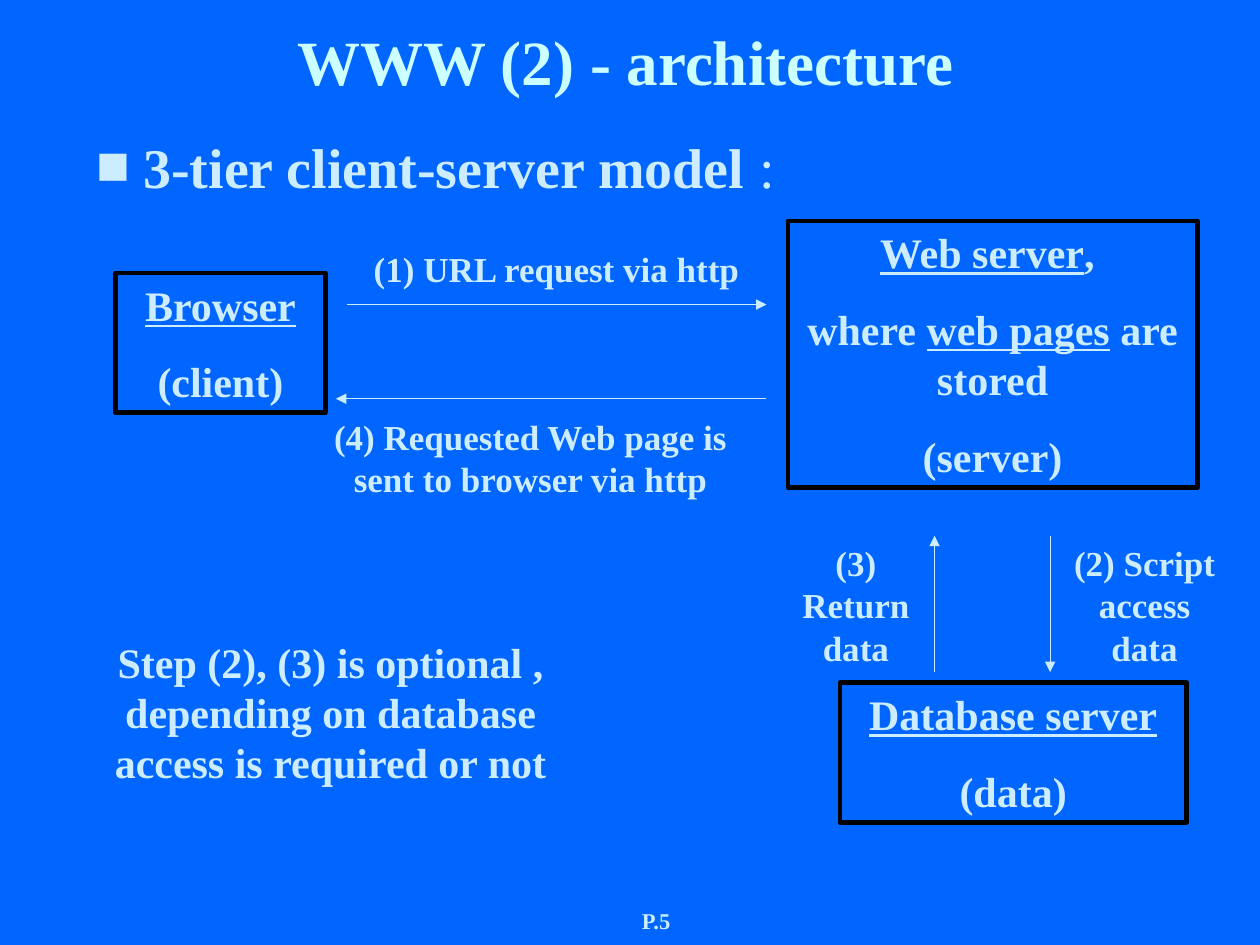
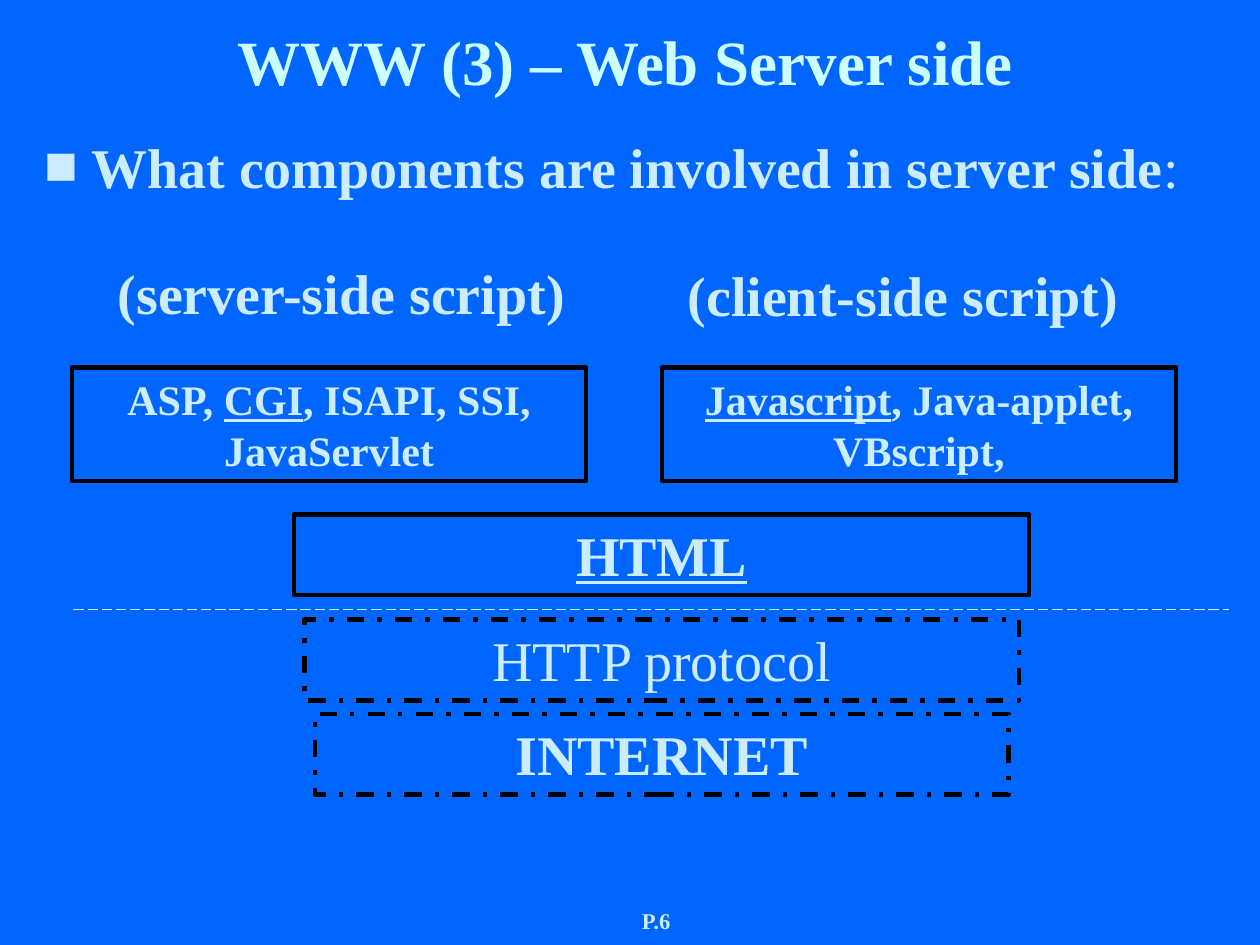
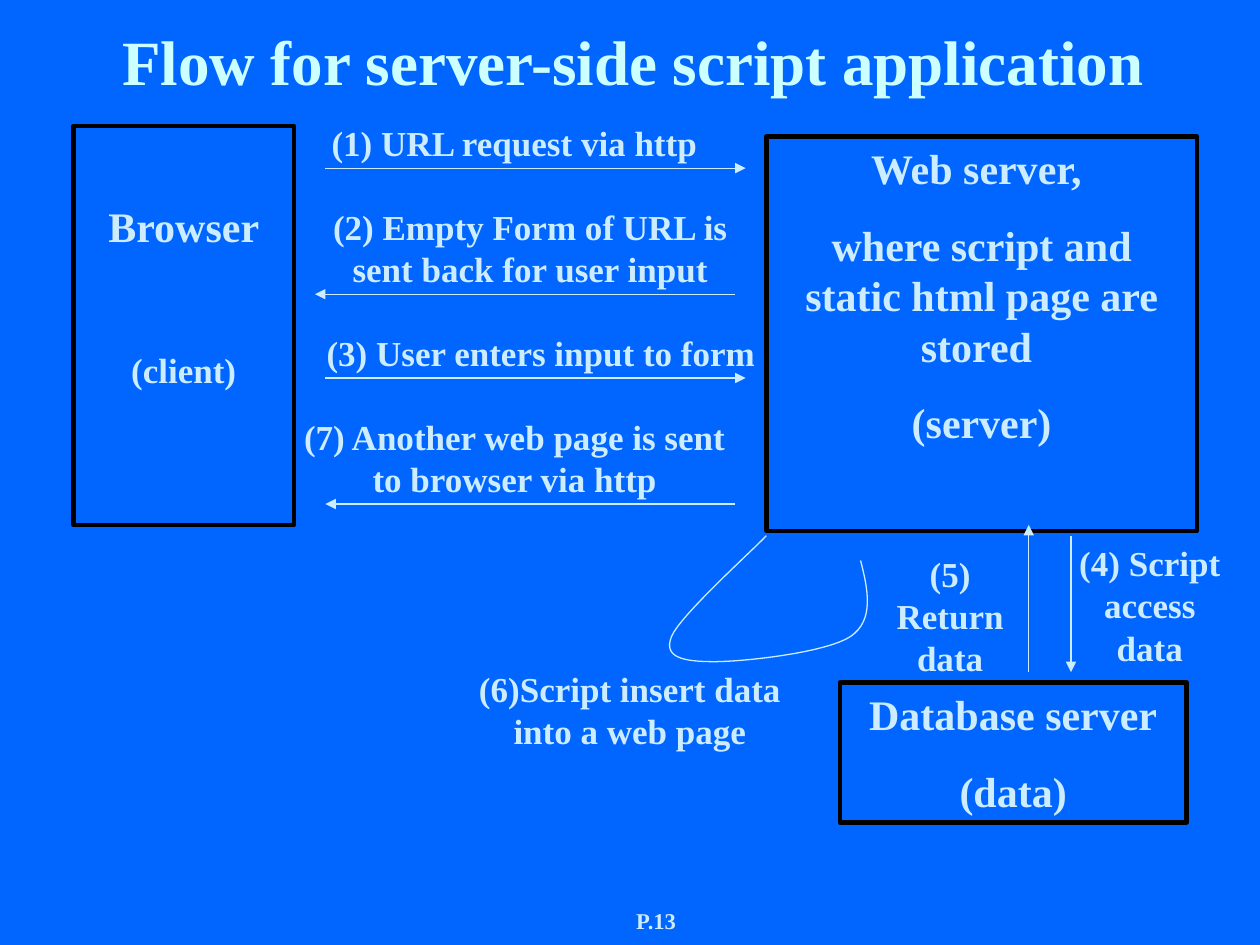
from itertools import pairwise

from lxml.etree import SubElement as Sub
from pptx import Presentation
from pptx.dml.color import RGBColor as Rgb
from pptx.enum.dml import MSO_LINE as Dash
from pptx.enum.shapes import MSO_CONNECTOR as Link, MSO_SHAPE as Kind
from pptx.enum.text import MSO_ANCHOR as Anchor, PP_ALIGN as Align
from pptx.oxml.ns import qn
from pptx.util import Cm, Pt

HUES = {"back": "0066FF", "title": "CCFFFF", "text": "CCECFF", "edge": "000000"}
FONT = "Times New Roman"
LEAD = 1.2  # line height as a share of the type size
DATA = (16.93, 13.76, 6.99, 2.82)  # database box, same place on both flows


def hue(name):
    return Rgb.from_string(HUES[name])


# --- Text ---

def add_run(para, text, size, style="b", tint="text"):
    """Style letters: b for bold, u for underline."""
    run = para.add_run()
    run.text = text
    font = run.font
    font.name, font.size = FONT, Pt(size)
    font.bold, font.underline = "b" in style, "u" in style
    font.color.rgb = hue(tint)


def fill_text(frame, paras, size, gap=None, tint="text"):
    """Each paragraph is a list of (text, style) runs."""
    frame.word_wrap = True
    frame.vertical_anchor = Anchor.TOP
    for i, runs in enumerate(paras):
        para = frame.add_paragraph() if i else frame.paragraphs[0]
        para.alignment = Align.CENTER
        if i:
            para.space_before = Pt(gap or size * 0.625)
        for text, style in runs:
            add_run(para, text, size, style, tint)


def add_text(slide, x, y, w, h):
    frame = slide.shapes.add_textbox(Cm(x), Cm(y), Cm(w), Cm(h)).text_frame
    frame.word_wrap = True
    return frame


def add_label(slide, text, x, y, w, rows=1, size=20):
    high = 0.25 + rows * size * LEAD / 28.35
    fill_text(add_text(slide, x, y, w, high), [[(text, "b")]], size)


def add_point(slide, head, tail, x, w):
    para = add_text(slide, x, 2.54, w, 13.76).paragraphs[0]
    props = para._p.get_or_add_pPr()
    props.set("marL", str(Cm(0.95)))
    props.set("indent", str(Cm(-0.95)))
    Sub(Sub(props, qn("a:buClr")), qn("a:srgbClr"), val=HUES["text"])
    Sub(props, qn("a:buFont"), typeface=FONT)
    Sub(props, qn("a:buChar"), char="■")
    add_run(para, head, 32)
    add_run(para, tail, 32, "")


# --- Shapes and lines ---

def add_box(slide, place, paras, size=24, dash=None):
    box = slide.shapes.add_shape(Kind.RECTANGLE, *map(Cm, place))
    box.shadow.inherit = False
    box.fill.background()
    box.line.color.rgb = hue("edge")
    box.line.width = Pt(2.5)
    if dash:
        box.line.dash_style = dash
    fill_text(box.text_frame, paras, size)
    return box.text_frame


def thin(line):
    line.color.rgb = hue("text")
    line.width = Pt(0.75)


def add_line(slide, x1, y1, x2, y2, dash=None):
    link = slide.shapes.add_connector(Link.STRAIGHT, Cm(x1), Cm(y1), Cm(x2), Cm(y2))
    thin(link.line)
    if dash:
        link.line.dash_style = dash
    Sub(link._element.spPr, qn("a:effectLst"))
    return link


def add_arrow(slide, *ends):
    link = add_line(slide, *ends)
    Sub(link.line._get_or_add_ln(), qn("a:tailEnd"), type="triangle")


def bend(p0, p1, p2, p3, steps=16):
    """Points along one cubic curve, after its start."""
    for i in range(1, steps + 1):
        t = i / steps
        s = 1 - t
        yield tuple(s**3 * a + 3 * s * s * t * b + 3 * s * t * t * c + t**3 * d
                    for a, b, c, d in zip(p0, p1, p2, p3))


def add_curve(slide, knots):
    """Knots are (point, handle in, handle out)."""
    form = slide.shapes.build_freeform(*map(Cm, knots[0][0]), scale=1.0)
    dots = [dot for (a, _, out), (b, into, _) in pairwise(knots)
            for dot in bend(a, out, into, b)]
    form.add_line_segments([(Cm(x), Cm(y)) for x, y in dots], close=False)
    curve = form.convert_to_shape()
    curve.shadow.inherit = False
    curve.fill.background()
    thin(curve.line)


# --- Slides ---

def add_page(deck, title, number):
    slide = deck.slides.add_slide(deck.slide_layouts[6])
    frame = add_text(slide, 0.64, 0.64, 23.93, 1.47)
    fill_text(frame, [[(title, "b")]], 36, tint="title")
    frame.vertical_anchor = Anchor.BOTTOM
    foot = add_text(slide, 10.58, 18.16, 5.29, 0.85)
    fill_text(foot, [[(f"P.{number}", "b")]], 12.9)
    return slide


def show_tiers(deck):
    slide = add_page(deck, "WWW (2) - architecture", 5)
    add_point(slide, "3-tier client-server model", " :", 1.69, 22.44)
    # Tiers
    add_box(slide, (2.33, 5.5, 4.23, 2.82), [[("Browser", "bu")], [("(client)", "b")]])
    add_box(slide, (15.88, 4.45, 8.26, 5.38), [
        [("Web server", "bu"), (", ", "b")],
        [("where ", "b"), ("web pages", "bu"), (" are stored", "b")],
        [("(server)", "b")]])
    add_box(slide, DATA, [[("Database server", "bu")], [("(data)", "b")]])
    # Steps
    add_arrow(slide, 6.99, 6.14, 15.45, 6.14)
    add_arrow(slide, 15.45, 8.04, 6.77, 8.04)
    add_arrow(slide, 21.17, 10.8, 21.17, 13.55)
    add_arrow(slide, 18.84, 13.55, 18.84, 10.8)
    add_label(slide, "(1) URL request via http", 7.2, 4.87, 8.04)
    add_label(slide, "(2) Script access data", 21.38, 10.8, 3.39, 3)
    add_label(slide, "(3) Return data", 15.88, 10.8, 2.75, 3)
    add_label(slide, "(4) Requested Web page is sent to browser via http",
              5.93, 8.26, 9.53, 2)
    add_label(slide, "Step (2), (3) is optional , depending on database access "
              "is required or not", 1.48, 12.7, 10.37, 3, 24)


def show_parts(deck):
    slide = add_page(deck, "WWW (3) – Web Server side", 6)
    add_point(slide, "What components are involved in server side", ":", 0.64, 24.13)
    # Scripts
    add_label(slide, "(server-side script)", 1.91, 5.08, 9.95, size=32)
    add_label(slide, "(client-side script)", 13.34, 5.13, 9.74, size=32)
    kinds = [
        (1.45, [("ASP, ", "b"), ("CGI", "bu"), (", ISAPI, SSI, JavaServlet", "b")]),
        (13.34, [("Javascript", "bu"), (", Java-applet, VBscript,", "b")])]
    for x, runs in kinds:
        add_box(slide, (x, 7.41, 10.37, 2.29), [runs])
    # Layers, each a little narrower than the one above
    layers = [("HTML", "bu", 10.37, None),
              ("HTTP protocol", "", 12.49, Dash.DASH_DOT),
              ("INTERNET", "b", 14.39, Dash.DASH_DOT)]
    for i, (name, style, y, dash) in enumerate(layers):
        place = (5.93 + 0.21 * i, y, 14.82 - 0.42 * i, 1.63)
        add_box(slide, place, [[(name, style)]], 32, dash)
    add_line(slide, 1.48, 12.28, 24.77, 12.28, Dash.LONG_DASH)


def show_flow(deck):
    slide = add_page(deck, " Flow for server-side script application", 13)
    # Tiers
    frame = add_box(slide, (1.48, 2.54, 4.45, 8.04), [[("Browser", "b")]])
    frame.margin_top = Cm(1.5)
    para = frame.add_paragraph()
    para.alignment, para.space_before = Align.CENTER, Pt(56)
    add_run(para, "(client)", 20)
    add_box(slide, (15.45, 2.75, 8.68, 7.95), [
        [("Web server, ", "b")],
        [("where script and static html page are stored ", "b")],
        [("(server)", "b")]])
    add_box(slide, DATA, [[("Database server", "b")], [("(data)", "b")]])
    # Browser and web server
    add_arrow(slide, 6.56, 3.39, 15.03, 3.39)
    add_arrow(slide, 14.82, 5.93, 6.35, 5.93)
    add_arrow(slide, 6.56, 7.62, 15.03, 7.62)
    add_arrow(slide, 14.82, 10.16, 6.56, 10.16)
    add_label(slide, "(1) URL request via http", 6.35, 2.33, 8.04)
    add_label(slide, "(2) Empty Form of URL is sent back for user input",
              6.35, 4.02, 8.68, 2)
    add_label(slide, "(3) User enters input to form", 5.93, 6.56, 9.95)
    add_label(slide, "(7) Another web page is sent to browser via http",
              5.72, 8.26, 9.31, 2)
    # Web server and database
    add_arrow(slide, 21.59, 10.8, 21.59, 13.55)
    add_arrow(slide, 20.74, 13.55, 20.74, 10.58)
    add_label(slide, "(4) Script access data", 21.38, 10.8, 3.6, 3)
    add_label(slide, "(5) Return data", 17.78, 11.01, 2.75, 3)
    # Loop back into the web server
    add_curve(slide, [
        ((17.35, 11.3), None, (17.5, 11.89)),
        ((17.15, 12.83), (17.63, 12.5), (16.66, 13.16)),
        ((14.4, 13.34), (14.99, 13.34), (13.79, 13.34)),
        ((13.54, 12.83), (13.36, 13.26), (13.72, 12.4)),
        ((15.45, 10.8), (15.14, 11.13), None)])
    add_label(slide, "(6)Script insert data into a web page", 9.1, 13.34, 7.2, 2)


def main():
    deck = Presentation()
    deck.slide_width, deck.slide_height = Cm(25.4), Cm(19.05)
    back = deck.slide_master.background.fill
    back.solid()
    back.fore_color.rgb = hue("back")
    show_tiers(deck)
    show_parts(deck)
    show_flow(deck)
    deck.save("out.pptx")


if __name__ == "__main__":
    main()
